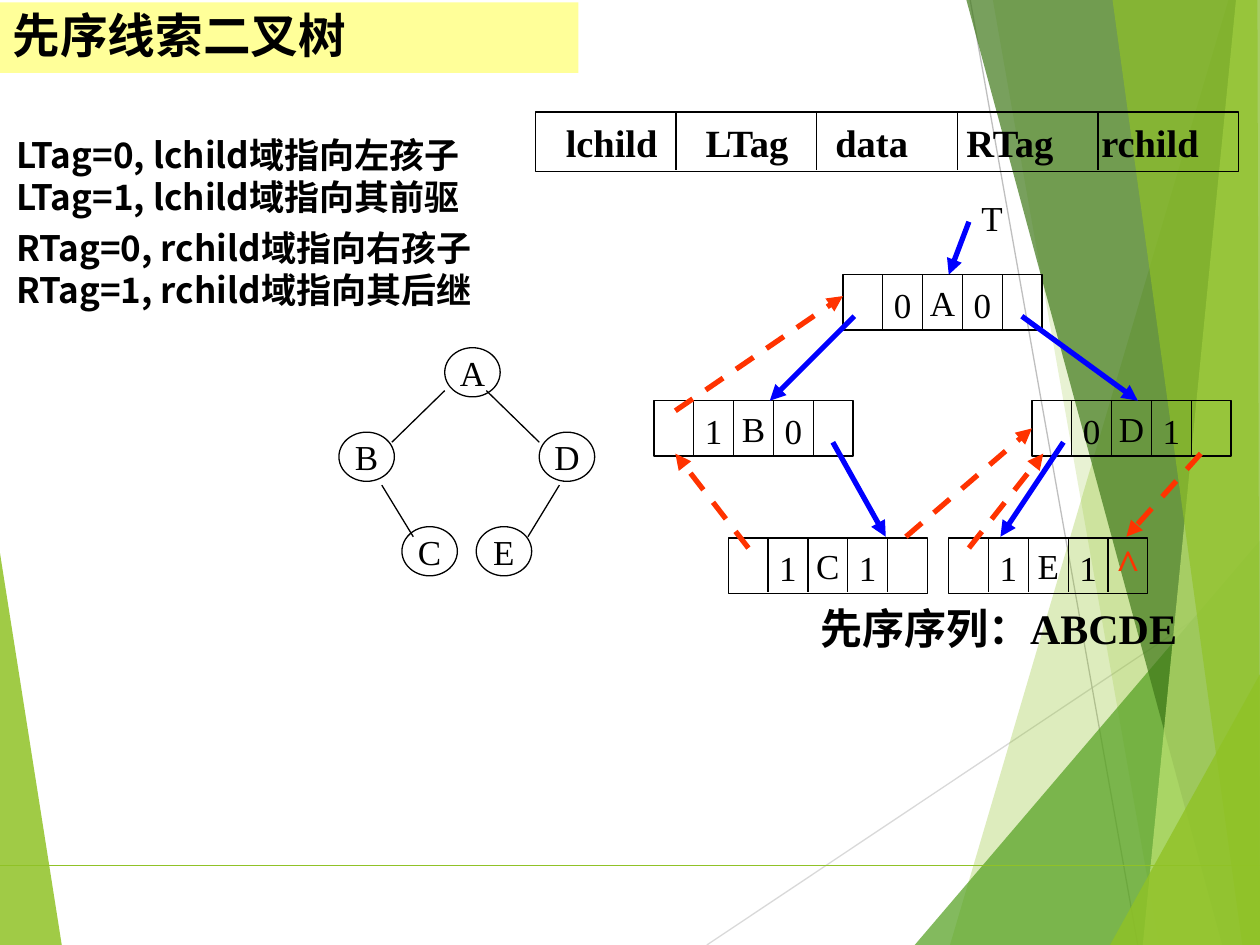
from dataclasses import dataclass
from typing import NamedTuple

from lxml import etree
from pptx import Presentation
from pptx.dml.color import RGBColor
from pptx.enum.dml import MSO_LINE
from pptx.enum.shapes import MSO_CONNECTOR, MSO_SHAPE
from pptx.enum.text import MSO_ANCHOR, PP_ALIGN
from pptx.oxml.ns import qn
from pptx.util import Inches, Pt

RECT, OVAL = MSO_SHAPE.RECTANGLE, MSO_SHAPE.OVAL
STRAIGHT, DASH = MSO_CONNECTOR.STRAIGHT, MSO_LINE.DASH
LEFT, CENTER = PP_ALIGN.LEFT, PP_ALIGN.CENTER
TOP, MIDDLE = MSO_ANCHOR.TOP, MSO_ANCHOR.MIDDLE
COLS, ROWS = 100, 75  # grid of tenths of an inch


@dataclass(frozen=True)
class Theme:
    ink: str = "000000"
    child: str = "0000FF"
    thread: str = "FF3300"
    band: str = "FFFF99"
    lime: str = "90C226"
    leaf: str = "54A021"
    moss: str = "3F7819"
    pale: str = "C0E474"
    serif: str = "Times New Roman"
    sans: str = "Noto Sans CJK SC"
    title: float = 27.2
    large: float = 24
    head: float = 22
    body: float = 20
    thin: float = 0.75
    thick: float = 3


class Box(NamedTuple):
    x: float
    y: float
    w: float
    h: float


class Facet(NamedTuple):
    color: str
    alpha: int
    points: list


class Node(NamedTuple):
    name: str
    x: float
    y: float
    tags: str
    end: str = ""


class Link(NamedTuple):
    start: tuple
    end: tuple
    thread: bool = False


T = Theme()
deck = Presentation()
deck.slide_width, deck.slide_height = Inches(COLS / 10), Inches(ROWS / 10)
shapes = deck.slides.add_slide(deck.slide_layouts[6]).shapes


def unit(n: float) -> int:
    return Inches(n / 10)


def line(start: tuple, end: tuple, color: str = T.ink, width: float = T.thin):
    wire = shapes.add_connector(STRAIGHT, *map(unit, (*start, *end)))
    wire.line.color.rgb = RGBColor.from_string(color)
    wire.line.width = Pt(width)
    etree.SubElement(wire._element.spPr, qn("a:effectLst"))
    return wire


def arrow(link: Link):
    wire = line(link.start, link.end, T.thread if link.thread else T.child, T.thick)
    if link.thread:
        wire.line.dash_style = DASH
    etree.SubElement(wire.line._get_or_add_ln(), qn("a:tailEnd"), type="triangle")
    return wire


def facet(item: Facet) -> None:
    points = [(unit(x), unit(y)) for x, y in item.points]
    pen = shapes.build_freeform(*points[0], scale=1.0)
    pen.add_line_segments(points[1:], close=True)
    shape = pen.convert_to_shape()
    shape.shadow.inherit = False
    shape.line.fill.background()
    shape.fill.solid()
    shape.fill.fore_color.rgb = RGBColor.from_string(item.color)
    tint = shape._element.spPr.find(".//" + qn("a:srgbClr"))
    etree.SubElement(tint, qn("a:alpha"), val=str(item.alpha * 1000))


def write(shape, text: str, size: float = T.body, font: str = T.serif,
          color: str = T.ink, bold: bool = False, align=CENTER,
          anchor=MIDDLE, wrap: bool = False, tabs: tuple = ()):
    frame = shape.text_frame
    frame.text, frame.word_wrap, frame.vertical_anchor = text, wrap, anchor
    for para in frame.paragraphs:
        para.alignment = align
        if tabs:
            stops = etree.SubElement(para._p.get_or_add_pPr(), qn("a:tabLst"))
            for stop in tabs:
                etree.SubElement(stops, qn("a:tab"), pos=str(unit(stop)), algn="l")
        face = para.font
        face.size, face.name, face.bold = Pt(size), font, bold
        face.color.rgb = RGBColor.from_string(color)
        etree.SubElement(face._element, qn("a:ea"), typeface=T.sans)
    return frame


def outline(kind, box: Box, fill: str = ""):
    shape = shapes.add_shape(kind, *map(unit, box))
    shape.shadow.inherit = False
    if fill:
        shape.fill.solid()
        shape.fill.fore_color.rgb = RGBColor.from_string(fill)
        shape.line.fill.background()
    else:
        shape.fill.background()
        shape.line.color.rgb = RGBColor.from_string(T.ink)
        shape.line.width = Pt(T.thin)
    return shape


def label(box: Box, text: str, **style):
    return write(shapes.add_textbox(*map(unit, box)), text, **style)


def record(box: Box):
    """Five equal cells: a frame and four dividers."""
    shape = outline(RECT, box)
    for i in range(1, 5):
        x = box.x + box.w * i / 5
        line((x, box.y), (x, box.y + box.h - 0.1))
    return shape


def node(item: Node):
    box = Box(item.x, item.y, 15.8, 4.4)
    shape = record(box)
    write(shape, item.name)
    for cell, tag in zip((1, 3), item.tags):
        mid = box.x + box.w * (cell + 0.5) / 5
        label(Box(mid - 1.7, box.y + 0.15, 3.4, 4.4), tag)
    if item.end:
        mid = box.x + box.w * 0.9
        label(Box(mid - 1.95, box.y - 0.5, 3.9, 5), item.end,
              size=T.large, color=T.thread, bold=True)
    return shape


# Backdrop
facet(Facet(T.lime, 85, [(0, 43.9), (4.9, ROWS), (0, ROWS)]))
line((56.1, ROWS), (COLS, 45.7), "D9D9D9")
line((77, 0), (90.3, ROWS), "BFBFBF")
for item in (
    Facet(T.lime, 30, [(97.5, 0), (75.4, ROWS), (COLS, ROWS), (COLS, 0)]),
    Facet(T.lime, 20, [(78.8, 0), (92, ROWS), (COLS, ROWS), (COLS, 0)]),
    Facet(T.leaf, 72, [(72.6, ROWS), (COLS, 42.9), (COLS, ROWS)]),
    Facet(T.moss, 70, [(76.7, 0), (97, ROWS), (COLS, ROWS), (COLS, 0)]),
    Facet(T.pale, 70, [(98.1, 0), (90.7, ROWS), (COLS, ROWS), (COLS, 0)]),
    Facet(T.lime, 65, [(88.3, 0), (98.6, ROWS), (COLS, ROWS), (99.8, 0)]),
    Facet(T.lime, 80, [(88.1, ROWS), (COLS, 53.5), (COLS, ROWS)]),
):
    facet(item)
line((0, 68.7), (COLS, 68.7), T.lime)

# Plain binary tree
for name, x, y in (("A", 35.3, 27.6), ("B", 26.9, 34.3), ("C", 31.9, 41.8),
                   ("D", 42.8, 34.3), ("E", 37.8, 41.8)):
    write(outline(OVAL, Box(x, y, 4.4, 3.9)), name)
for start, end in (((35.3, 31), (31.1, 35.1)), ((38.6, 31), (42.8, 35.1)),
                   ((30.3, 38.5), (32.8, 42.6)), ((44.4, 38.5), (41.9, 42.6))):
    line(start, end)

# Threaded tree
nodes = {item.name: node(item) for item in (
    Node("A", 66.9, 21.8, "00"), Node("B", 51.9, 31.8, "10"),
    Node("D", 81.9, 31.8, "01"), Node("C", 57.8, 42.7, "11"),
    Node("E", 75.3, 42.7, "11", "^"))}
for link in (
    Link((76.9, 17.6), (75.3, 21.8)),
    Link((67.8, 25.1), (61.1, 31.8)),
    Link((81.1, 25.1), (90.3, 31.8)),
    Link((66.1, 35.1), (70.3, 42.6)),
    Link((84.4, 35.1), (79.4, 42.6)),
    Link((53.6, 32.6), (66.9, 23.5), True),
    Link((59.4, 43.5), (53.6, 36), True),
    Link((95.3, 36), (89.4, 42.6), True),
    Link((76.9, 43.5), (82.8, 36), True),
):
    arrow(link)
arrow(Link((71.9, 42.6), (81.9, 34), True)).end_connect(nodes["D"], 1)
label(Box(76.9, 15.1, 3.7, 4.4), "T", align=LEFT, anchor=TOP)
label(Box(64.1, 47.3, 31.1, 5), "先序序列：ABCDE", size=T.large, bold=True,
      align=LEFT, anchor=TOP)

# Record layout
head = write(record(Box(42.5, 8.9, 55.8, 4.7)),
             "lchild\tLTag\tdata\tRTag\trchild", size=T.head, bold=True,
             align=LEFT, wrap=True, tabs=(11.1, 21.4, 31.8, 42.5))
head.margin_left = unit(2.4)

# Title and rules
title = write(outline(RECT, Box(0, 0.2, 45.9, 5.6), T.band), "先序线索二叉树",
              size=T.title, font=T.sans, bold=True, align=LEFT, wrap=True)
title.paragraphs[0].line_spacing = 0.9
rules = label(Box(0.3, 9.8, 39.4, 28.4),
              "LTag=0, lchild域指向左孩子\vLTag=1, lchild域指向其前驱\n"
              "RTag=0, rchild域指向右孩子\vRTag=1, rchild域指向其后继",
              font=T.sans, bold=True, align=LEFT, anchor=TOP, wrap=True)
rules.margin_top = unit(0.8)
for para in rules.paragraphs:
    para.line_spacing = Pt(24)
rules.paragraphs[1].space_before = Pt(5)

deck.save("out.pptx")
